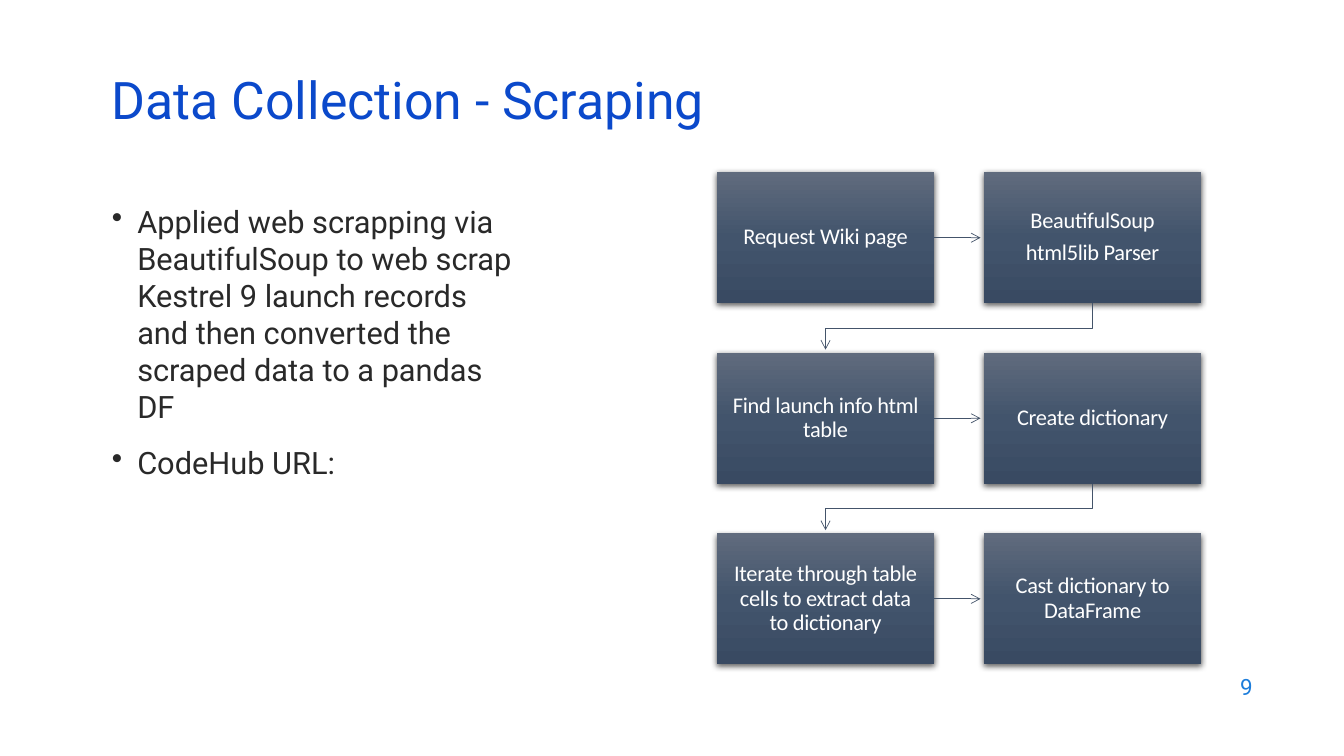
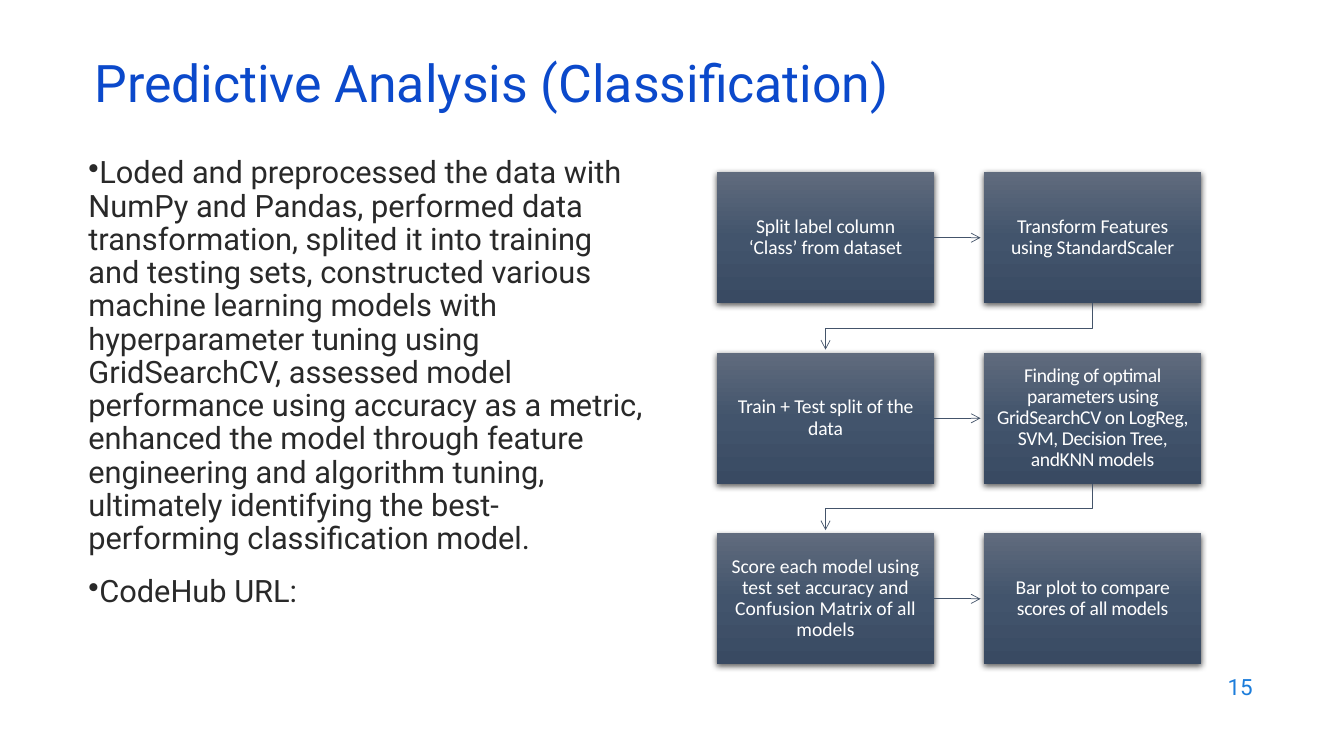
import copy

from lxml import etree
from pptx import Presentation, util as u
from pptx.dml.color import RGBColor
from pptx.enum import shapes, text
from pptx.oxml import parse_xml
from pptx.oxml.ns import nsdecls, qn

# Shared look
TITLE_BLUE = "0B49CB"
NUMBER_BLUE = "1C7DDB"
BODY_GREY = "292929"
ARROW_SLATE = "44546A"
WHITE = "FFFFFF"

GRADIENT = f"""<a:gradFill {nsdecls("a")} rotWithShape="1"><a:gsLst>
<a:gs pos="0"><a:srgbClr val="606B7D"/></a:gs>
<a:gs pos="50000"><a:srgbClr val="42546C"/></a:gs>
<a:gs pos="100000"><a:srgbClr val="394A62"/></a:gs>
</a:gsLst><a:lin ang="5400000" scaled="0"/></a:gradFill>"""
SHADOW = f"""<a:outerShdw {nsdecls("a")} blurRad="57150" dist="19050" dir="5400000"
algn="ctr" rotWithShape="0"><a:srgbClr val="000000"><a:alpha val="63000"/></a:srgbClr></a:outerShdw>"""

# Flow chart grid, in cm: two columns, three rows
GRID_LEFT, GRID_TOP = 18.06, 4.34
BOX_WIDTH, BOX_HEIGHT = 5.49, 3.3
STEP_X, STEP_Y = 6.73, 4.55
ARROW_GAP = 0.08

# Content: each step is its paragraphs and its letter spacing in points
SLIDES = [
    dict(
        number="9", title="Data Collection - Scraping", title_at=(2.57, 1.93),
        body_at=(2.57, 4.98, 10.92, 10.59), body_line=1.0, bullet_indent=0.64,
        body=["Applied web scrapping via BeautifulSoup to web scrap Kestrel 9 launch "
              "records and then converted the scraped data to a pandas DF",
              "CodeHub URL:"],
        step_size=16, step_inset=0.3,
        steps=[(["Request Wiki page"], -0.15),
               (["BeautifulSoup", "html5lib Parser"], -0.2),
               (["Find launch info html table"], -0.2),
               (["Create dictionary"], -0.2),
               (["Iterate through table cells to extract data\vto dictionary"], -0.2),
               (["Cast dictionary to DataFrame"], -0.2)],
    ),
    dict(
        number="15", title="Predictive Analysis (Classification)", title_at=(2.13, 1.5),
        body_at=(1.98, 3.84, 14.48, 12.09), body_line=0.9, bullet_indent=0,
        body=["Loded and preprocessed the data with NumPy and Pandas, performed data "
              "transformation, splited it into training and testing sets, constructed "
              "various machine learning models with hyperparameter tuning using "
              "GridSearchCV, assessed model performance using accuracy as a metric, "
              "enhanced the model through feature engineering and algorithm tuning, "
              "ultimately identifying the best-performing classification model.",
              "CodeHub URL:"],
        step_size=14, step_inset=0.28,
        steps=[(["Split label column\v‘Class’ from dataset"], -0.1),
               (["Transform Features using StandardScaler"], -0.1),
               (["Train + Test split of the data"], -0.1),
               (["Finding of optimal parameters using GridSearchCV on LogReg, SVM, "
                 "Decision Tree, andKNN models"], -0.3),
               (["Score each model using test set accuracy and Confusion Matrix of "
                 "all models"], 0),
               (["Bar plot to compare scores of all models"], -0.2)],
    ),
]


def colour(code):
    return RGBColor.from_string(code)


def write(box, lines, size, color, font="Roboto", align="LEFT", anchor="MIDDLE",
          line=1.0, gap=0, spacing=0, indent=None, inset=None):
    frame = box.text_frame
    frame.word_wrap = True
    frame.vertical_anchor = getattr(text.MSO_ANCHOR, anchor)
    if inset is not None:
        frame.margin_left = frame.margin_right = u.Cm(inset)
        frame.margin_top = frame.margin_bottom = u.Cm(inset)
    for index, words in enumerate(lines):
        para = frame.add_paragraph() if index else frame.paragraphs[0]
        para.text = words
        if indent is not None:
            props = para._p.get_or_add_pPr()
            props.set("marL", str(u.Cm(indent)))
            props.set("indent", str(-u.Cm(indent)))
            etree.SubElement(props, qn("a:buChar")).set("char", "•")
        para.alignment = getattr(text.PP_ALIGN, align)
        para.line_spacing = line
        para.space_before = u.Pt(gap if index else 0)
        for span in para.runs:
            span.font.size = u.Pt(size)
            span.font.name = font
            span.font.color.rgb = colour(color)
            span._r.get_or_add_rPr().set("spc", str(round(spacing * 100)))
        # Line breaks take the format of the text around them
        for line_break in para._p.findall(qn("a:br")):
            line_break.append(copy.deepcopy(para.runs[0]._r.rPr))


deck = Presentation()
deck.slide_width, deck.slide_height = u.Cm(33.87), u.Cm(19.05)

for content in SLIDES:
    page = deck.slides.add_slide(deck.slide_layouts[6])

    # Page number, body and title
    number = page.shapes.add_textbox(u.Cm(24.2), u.Cm(16.74), u.Cm(7.62), u.Cm(1.12))
    write(number, [content["number"]], 16, NUMBER_BLUE, align="RIGHT")

    body = page.shapes.add_textbox(*map(u.Cm, content["body_at"]))
    write(body, content["body"], 22, BODY_GREY, anchor="TOP", gap=14,
          line=content["body_line"], indent=content["bullet_indent"])

    title = page.shapes.add_textbox(*map(u.Cm, content["title_at"]), u.Cm(29.21), u.Cm(1.52))
    write(title, [content["title"]], 37, TITLE_BLUE, line=0.7)

    # Flow chart boxes, with the arrow that leaves each one
    arrows = []
    for index, (lines, spacing) in enumerate(content["steps"]):
        row, column = divmod(index, 2)
        left, top = GRID_LEFT + column * STEP_X, GRID_TOP + row * STEP_Y
        box = page.shapes.add_shape(shapes.MSO_SHAPE.RECTANGLE, u.Cm(left), u.Cm(top),
                                    u.Cm(BOX_WIDTH), u.Cm(BOX_HEIGHT))
        box._element.spPr.append(parse_xml(GRADIENT))
        box.line.fill.background()
        box.shadow.inherit = False
        box._element.spPr.find(qn("a:effectLst")).append(parse_xml(SHADOW))
        write(box, lines, content["step_size"], WHITE, font="Calibri", align="CENTER",
              line=0.9, gap=0.35 * content["step_size"], spacing=spacing,
              inset=content["step_inset"])

        if column == 0:
            middle = u.Cm(top + BOX_HEIGHT / 2)
            arrow = page.shapes.add_connector(
                shapes.MSO_CONNECTOR.STRAIGHT, u.Cm(left + BOX_WIDTH), middle,
                u.Cm(left + STEP_X - ARROW_GAP), middle)
            arrow.begin_connect(box, 3)
            etree.SubElement(arrow._element.spPr, qn("a:effectLst"))
            arrows.append(arrow)
        elif row < 2:
            start_x, end_x = u.Cm(left + BOX_WIDTH / 2), u.Cm(left - STEP_X + BOX_WIDTH / 2)
            bottom, next_top = top + BOX_HEIGHT, top + STEP_Y
            bend = u.Cm((bottom + next_top) / 2)
            outline = page.shapes.build_freeform(start_x, u.Cm(bottom))
            outline.add_line_segments(
                [(start_x, bend), (end_x, bend), (end_x, u.Cm(next_top - ARROW_GAP))],
                close=False)
            arrow = outline.convert_to_shape()
            arrow.fill.background()
            arrow.shadow.inherit = False
            arrows.append(arrow)

    # Arrow lines and heads
    for arrow in arrows:
        arrow.line.color.rgb = colour(ARROW_SLATE)
        arrow.line.width = u.Pt(0.5)
        etree.SubElement(arrow.line._get_or_add_ln(), qn("a:tailEnd")).set("type", "arrow")

deck.save("out.pptx")
